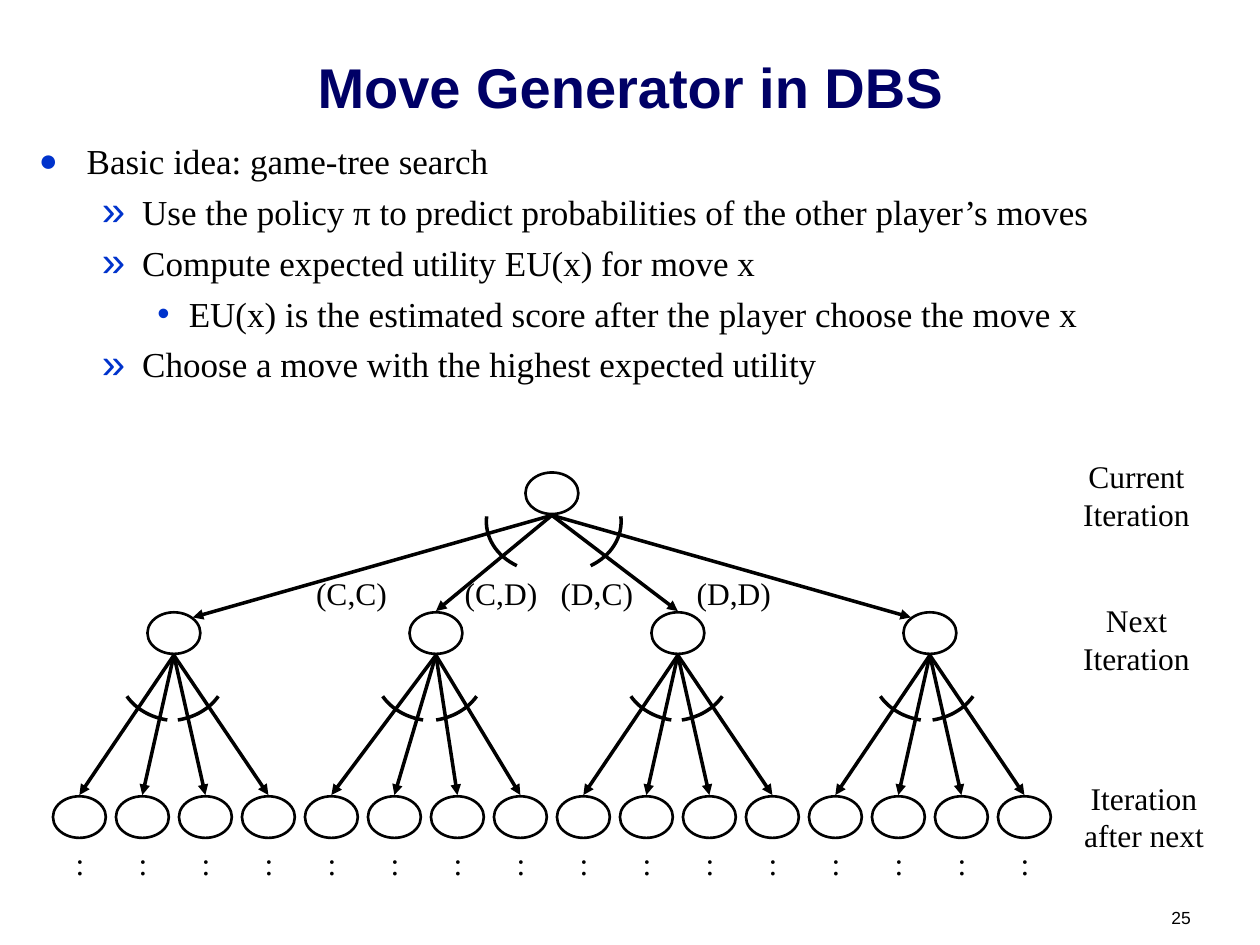
import math

import lxml.etree
import pptx
import pptx.dml.color
import pptx.enum.shapes
import pptx.enum.text
import pptx.oxml.ns
import pptx.util

Inches = pptx.util.Inches
Pt = pptx.util.Pt
qn = pptx.oxml.ns.qn
ALIGN = pptx.enum.text.PP_ALIGN
ANCHOR = pptx.enum.text.MSO_ANCHOR
SHAPE = pptx.enum.shapes.MSO_SHAPE

COLORS = {"title": "000066", "bullet": "0033CC", "ink": "000000"}
SERIF, SANS = "Times New Roman", "Arial"

# Content
TITLE = "Move Generator in DBS"
PAGE_NUMBER = "25"
IDEAS = [  # level, text
    (0, "Basic idea: game-tree search"),
    (1, "Use the policy π to predict probabilities of the other player’s moves"),
    (1, "Compute expected utility EU(x) for move x"),
    (2, "EU(x) is the estimated score after the player choose the move x"),
    (1, "Choose a move with the highest expected utility"),
]
BULLETS = [  # character, size in percent, left margin, hanging indent
    ("●", 90, 0.38, 0.38),
    ("»", 120, 0.82, 0.32),
    ("•", 100, 1.19, 0.25),
]
MOVES = ["(C,C)", "(C,D)", "(D,C)", "(D,D)"]
MOVE_TABS = [1.18, 1.94, 3.02]
ITERATIONS = [  # left, top, width, wrap, lines
    (8.5, 3.58, 1.04, False, ["Current", "Iteration"]),
    (8.5, 4.72, 1.04, False, ["Next", "Iteration"]),
    (8.33, 6.13, 1.5, True, ["Iteration after next"]),
]

# Tree geometry
NODE_W, NODE_H = 0.42, 0.33
ROOT_X = 4.38
ROOT_TOP, CHILD_TOP, LEAF_TOP = 3.75, 4.86, 6.32
CHILDREN = [  # centre, arrow tip offset and height, left and right arc centres
    (1.38, 0.15, 4.9, 1.41, 1.33),
    (3.46, 0, 4.85, 3.44, 3.38),
    (5.38, 0, 4.85, 5.41, 5.33),
    (7.38, -0.15, 4.9, 7.39, 7.32),
]
LEAVES_PER_CHILD = 4
FIRST_LEAF_X, LEAF_STEP = 0.63, 0.5
ARC_RX, ARC_RY, ARC_STEPS = 0.47, 0.4, 16

deck = pptx.Presentation()
deck.slide_width, deck.slide_height = Inches(10), Inches(7.5)
slide = deck.slides.add_slide(deck.slide_layouts[5])


def rgb(name):
    return pptx.dml.color.RGBColor.from_string(COLORS[name])


def write(lines, at, holder=None, size=18, font=SERIF, color="ink", bold=False,
          align=ALIGN.CENTER, anchor=ANCHOR.TOP, wrap=True, space=0, levels=None):
    """Put lines of text into a new text box or a given placeholder."""
    box = holder or slide.shapes.add_textbox(0, 0, 0, 0)
    box.left, box.top, box.width, box.height = map(Inches, at)
    frame = box.text_frame
    frame.word_wrap, frame.vertical_anchor = wrap, anchor
    frame.auto_size = pptx.enum.text.MSO_AUTO_SIZE.NONE
    for index, line in enumerate(lines):
        paragraph = frame.add_paragraph() if index else frame.paragraphs[0]
        paragraph.alignment = align
        if levels:
            paragraph.level = levels[index]
            add_bullet(paragraph, *BULLETS[levels[index]])
        if index:
            paragraph.space_before = Pt(space)
        run = paragraph.add_run()
        run.text = line
        run.font.size, run.font.name, run.font.bold = Pt(size), font, bold
        run.font.color.rgb = rgb(color)
    return box


def add_bullet(paragraph, char, percent, margin, hanging):
    props = paragraph._p.get_or_add_pPr()
    props.set("marL", str(Inches(margin)))
    props.set("indent", str(-Inches(hanging)))
    tint = lxml.etree.SubElement(props, qn("a:buClr"))
    lxml.etree.SubElement(tint, qn("a:srgbClr"), val=COLORS["bullet"])
    lxml.etree.SubElement(props, qn("a:buSzPct"), val=str(percent * 1000))
    lxml.etree.SubElement(props, qn("a:buFont"), typeface=SANS)
    lxml.etree.SubElement(props, qn("a:buChar"), char=char)


def outline(shape, width):
    shape.shadow.inherit = False
    shape.fill.background()
    shape.line.color.rgb = rgb("ink")
    shape.line.width = Pt(width)


def add_node(center, top):
    outline(slide.shapes.add_shape(
        SHAPE.OVAL, Inches(center - NODE_W / 2), Inches(top),
        Inches(NODE_W), Inches(NODE_H)), 1.5)


def add_arrow(x1, y1, x2, y2):
    arrow = slide.shapes.add_connector(
        pptx.enum.shapes.MSO_CONNECTOR.STRAIGHT, *map(Inches, (x1, y1, x2, y2)))
    arrow.line.color.rgb = rgb("ink")
    arrow.line.width = Pt(2)
    lxml.etree.SubElement(arrow.line._get_or_add_ln(), qn("a:tailEnd"), type="triangle")
    lxml.etree.SubElement(arrow._element.spPr, qn("a:effectLst"))


def add_arc(x, y, side, start, end):
    """Draw an elliptical arc around (x, y); side is 1 for right, -1 for left."""
    angles = [math.radians(start + (end - start) * step / ARC_STEPS)
              for step in range(ARC_STEPS + 1)]
    points = [(Inches(x + side * ARC_RX * math.cos(angle)),
               Inches(y + ARC_RY * math.sin(angle))) for angle in angles]
    builder = slide.shapes.build_freeform(Inches(x), Inches(y))
    builder.move_to(*points[0])
    builder.add_line_segments(points[1:], close=False)
    outline(builder.convert_to_shape(), 2)


# Title, page number and ideas
write([TITLE], (0.17, 0.11, 9.67, 0.89), holder=slide.shapes.title, size=32,
      font=SANS, color="title", bold=True, anchor=ANCHOR.BOTTOM)
write([PAGE_NUMBER], (9.11, 7.15, 0.44, 0.26), size=10, font=SANS, align=ALIGN.RIGHT)
write([text for _, text in IDEAS], (0.21, 1.06, 9.58, 2.11), size=20,
      align=ALIGN.LEFT, space=5, levels=[level for level, _ in IDEAS])

# Game tree
add_node(ROOT_X, ROOT_TOP)
for child_index, (child_x, tip_shift, tip_y, left_arc, right_arc) in enumerate(CHILDREN):
    add_node(child_x, CHILD_TOP)
    add_arrow(ROOT_X, 4.09, child_x + tip_shift, tip_y)
    for branch in range(LEAVES_PER_CHILD):
        leaf_x = FIRST_LEAF_X + LEAF_STEP * (child_index * LEAVES_PER_CHILD + branch)
        add_node(leaf_x, LEAF_TOP)
        add_arrow(child_x, 5.2, leaf_x, 6.31)
        write([":"], (leaf_x - 0.13, 6.65, 0.27, 0.4), wrap=False)
    add_arc(left_arc, 5.32, -1, 31, 80)
    add_arc(right_arc, 5.32, 1, 31, 80)
add_arc(4.33, 4.14, -1, -6, 61)
add_arc(4.46, 4.14, 1, -6, 61)

# Move pairs on the upper branches
moves = write(["\t".join(MOVES)], (2.41, 4.51, 3.82, 0.4), align=ALIGN.LEFT)
tab_list = lxml.etree.SubElement(
    moves.text_frame.paragraphs[0]._p.get_or_add_pPr(), qn("a:tabLst"))
for stop in MOVE_TABS:
    lxml.etree.SubElement(tab_list, qn("a:tab"), pos=str(Inches(stop)), algn="l")

# Iteration labels
for left, top, width, wrap, lines in ITERATIONS:
    write(lines, (left, top, width, 0.7), wrap=wrap)

deck.save("out.pptx")
